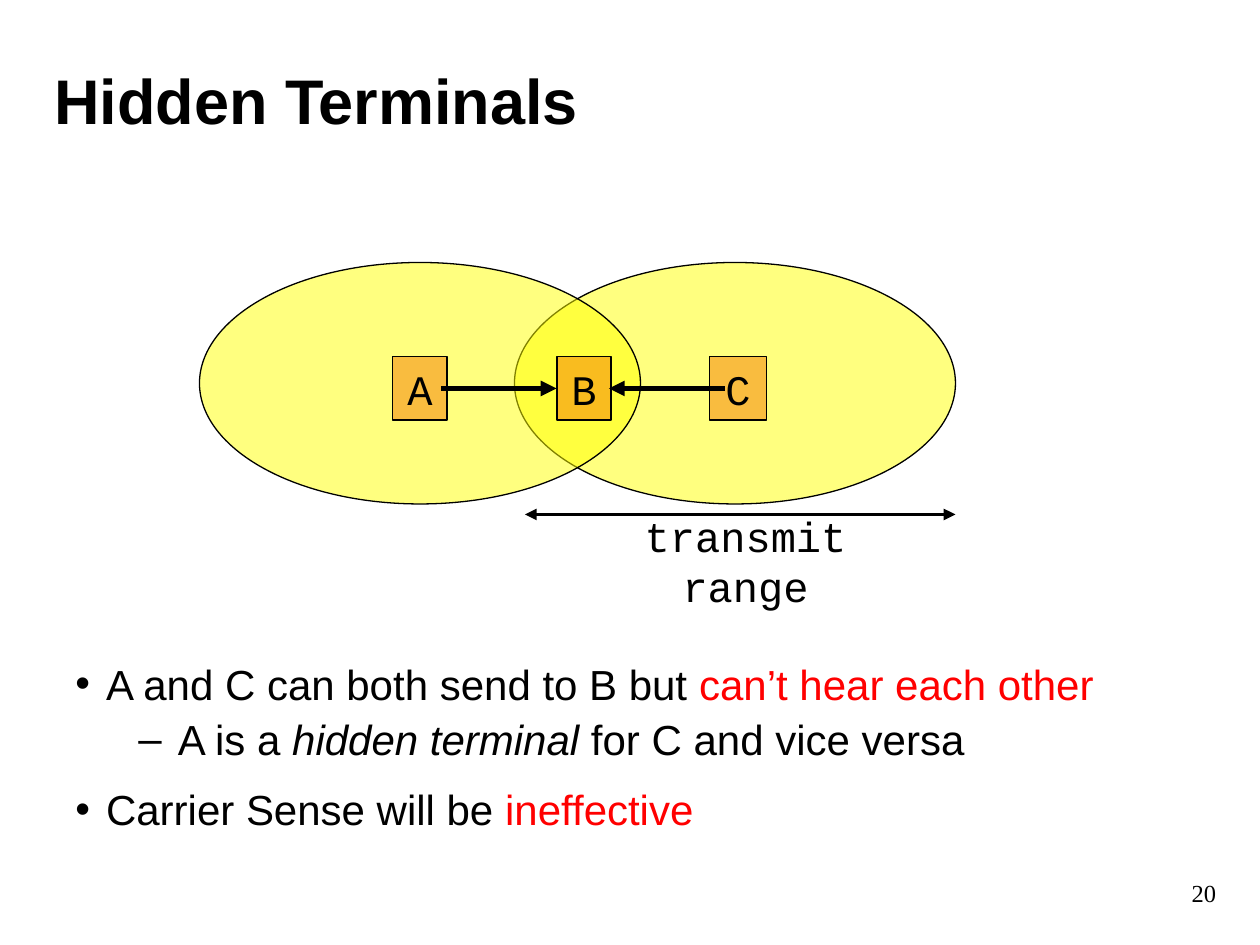
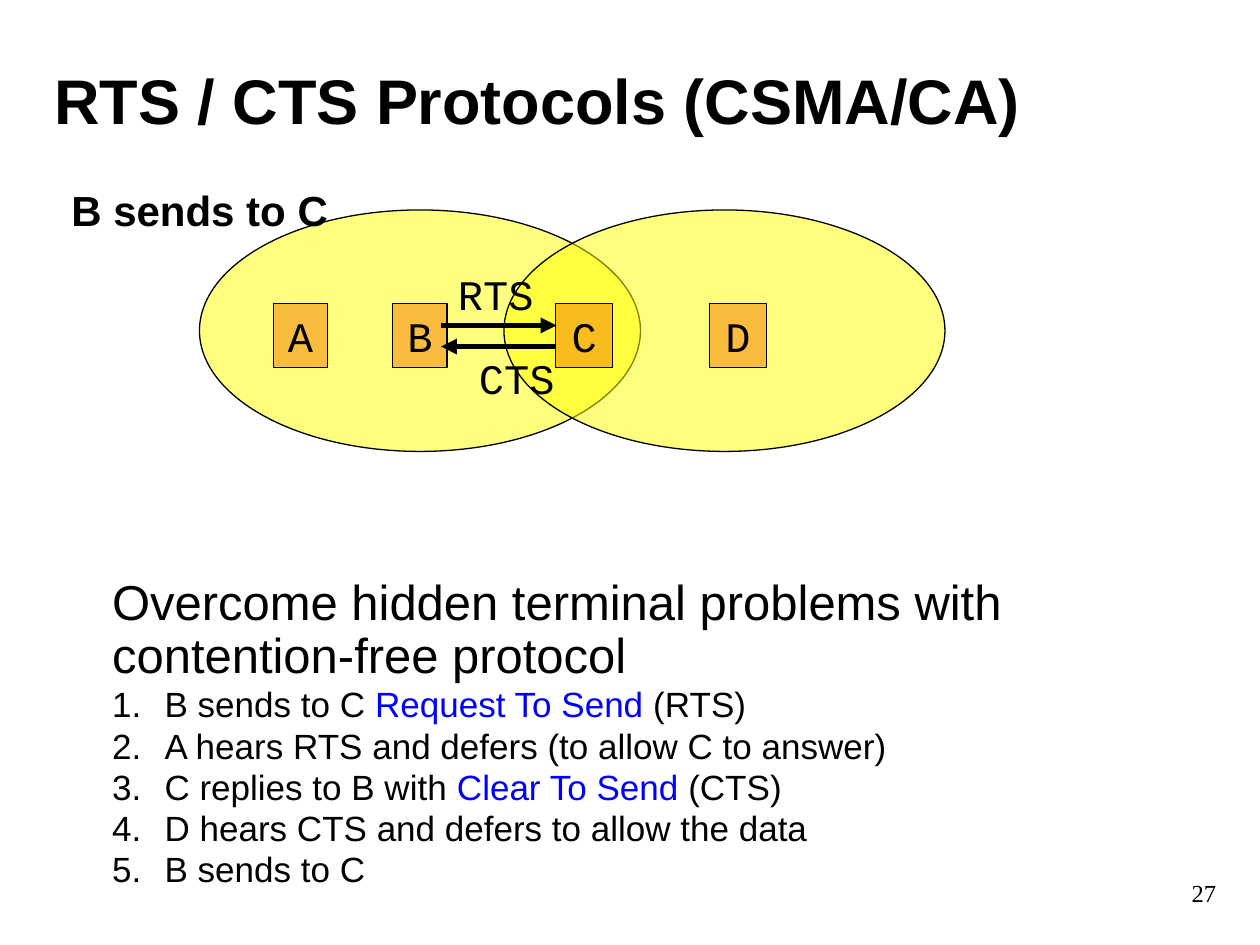
"""Builds two slides on hidden terminals and the RTS / CTS protocol."""
import pptx
import pptx.dml.color
import pptx.enum.shapes
import pptx.enum.text
import pptx.oxml.ns
import pptx.util
from lxml import etree

Pt = pptx.util.Pt
RGB = pptx.dml.color.RGBColor
ALIGN = pptx.enum.text.PP_ALIGN
ANCHOR = pptx.enum.text.MSO_ANCHOR
SHAPE = pptx.enum.shapes.MSO_SHAPE
qn = pptx.oxml.ns.qn

BLACK = RGB(0x00, 0x00, 0x00)
RED = RGB(0xFF, 0x00, 0x00)
BLUE = RGB(0x00, 0x00, 0xFF)
YELLOW = RGB(0xFF, 0xFF, 0x00)
ORANGE = RGB(0xF4, 0x7A, 0x00)
SANS, MONO, SERIF = "Arial", "Courier New", "Times New Roman"

RANGE_WIDTH, RANGE_HEIGHT = 252, 138
STATION_DROP, STATION_HEIGHT = 53.6, 36.5
STATION_WIDTHS = {"A": 31, "B": 31, "C": 32.5, "D": 32.5}

LEVELS = {
    "point": dict(size=24, left=17.5, hang=17.5, before=11.2, spacing=1, bullet="•"),
    "subpoint": dict(size=24, left=58.5, hang=22.5, before=3, spacing=1, bullet="–"),
    "lead": dict(size=28, left=36, hang=0, before=0, spacing=0.9, bullet=None),
    "step": dict(size=20, left=66, hang=30, before=1.9, spacing=0.9, bullet="1."),
}

SLIDES = [
    {
        "title": "Hidden Terminals",
        "number": "20",
        "ranges_top": 150,
        "ranges_left": [294, 114],
        "stations": {"A": 240, "B": 333.75, "C": 421.75},
        "arrows": [(252, 318, 222, 3, False), (414, 348, 222, 3, False),
                   (300, 546, 294, 2.25, True)],
        "labels": [("transmit range", (342, 288, 168, 36), MONO, False, ALIGN.CENTER)],
        "body_box": (36, 372.6, 666, 120),
        "body": [
            ("point", [("A and C can both send to B but ", BLACK, False),
                       ("can’t hear each other", RED, False)]),
            ("subpoint", [("A is a ", BLACK, False), ("hidden terminal", BLACK, True),
                          (" for C and vice versa", BLACK, False)]),
            ("point", [("Carrier Sense will be ", BLACK, False),
                       ("ineffective", RED, False)]),
        ],
    },
    {
        "title": "RTS / CTS Protocols (CSMA/CA)",
        "number": "27",
        "ranges_top": 120,
        "ranges_left": [114, 288],
        "stations": {"A": 171.75, "B": 240, "C": 333.75, "D": 421.75},
        "arrows": [(252, 318, 186, 3, False), (318, 252, 198, 3, False)],
        "labels": [
            ("RTS", (252, 150, 62.5, 36), MONO, False, ALIGN.CENTER),
            ("CTS", (264, 198, 62.5, 36), MONO, False, ALIGN.CENTER),
            ("B sends to C", (33, 102, 161.5, 36), SANS, True, ALIGN.RIGHT),
        ],
        "body_box": (21, 327, 678, 190),
        "body": [
            ("lead", [("Overcome hidden terminal problems with contention-free protocol",
                       BLACK, False)]),
            ("step", [("B sends to C ", BLACK, False), ("Request To Send", BLUE, False),
                      (" (RTS)", BLACK, False)]),
            ("step", [("A hears RTS and defers (to allow C to answer)", BLACK, False)]),
            ("step", [("C replies to B with ", BLACK, False),
                      ("Clear To Send", BLUE, False), (" (CTS)", BLACK, False)]),
            ("step", [("D hears CTS and defers to allow the data", BLACK, False)]),
            ("step", [("B sends to C", BLACK, False)]),
        ],
    },
]


def style(font, name, size, color=BLACK, bold=False, italic=False):
    font.name, font.size, font.bold, font.italic = name, Pt(size), bold, italic
    font.color.rgb = color


def write(frame, text, name, size, align, bold=False):
    frame.text = text
    frame.paragraphs[0].alignment = align
    style(frame.paragraphs[0].runs[0].font, name, size, bold=bold)


def add_frame(slide, box):
    frame = slide.shapes.add_textbox(*map(Pt, box)).text_frame
    frame.word_wrap = True
    return frame


def add_translucent(slide, preset, box, color):
    shape = slide.shapes.add_shape(preset, *map(Pt, box))
    shape.shadow.inherit = False
    shape.fill.solid()
    shape.fill.fore_color.rgb = color
    tint = shape.fill._xPr.find(qn("a:solidFill"))[0]
    etree.SubElement(tint, qn("a:alpha"), val="50000")
    shape.line.color.rgb = BLACK
    shape.line.width = Pt(0.75)
    return shape


def add_station(slide, name, center, top):
    width = STATION_WIDTHS[name]
    box = (center - width / 2, top, width, STATION_HEIGHT)
    frame = add_translucent(slide, SHAPE.RECTANGLE, box, ORANGE).text_frame
    frame.word_wrap = False
    frame.margin_left = frame.margin_right = 0
    frame.vertical_anchor = ANCHOR.MIDDLE
    write(frame, name, MONO, 24, ALIGN.CENTER)


def add_arrow(slide, start, end, y, weight, both_ends):
    arrow = slide.shapes.add_connector(
        pptx.enum.shapes.MSO_CONNECTOR.STRAIGHT, Pt(start), Pt(y), Pt(end), Pt(y))
    arrow.line.color.rgb = BLACK
    arrow.line.width = Pt(weight)
    line = arrow.line._get_or_add_ln()
    for tip in ("a:headEnd", "a:tailEnd") if both_ends else ("a:tailEnd",):
        etree.SubElement(line, qn(tip), type="triangle")
    etree.SubElement(arrow._element.spPr, qn("a:effectLst"))


def add_body(slide, box, body):
    frame = add_frame(slide, box)
    for index, (level_name, runs) in enumerate(body):
        level = LEVELS[level_name]
        paragraph = frame.add_paragraph() if index else frame.paragraphs[0]
        paragraph.line_spacing = level["spacing"]
        paragraph.space_before = Pt(level["before"] if index else 0)
        properties = paragraph._p.get_or_add_pPr()
        properties.set("marL", str(int(Pt(level["left"]))))
        properties.set("indent", str(-int(Pt(level["hang"]))))
        if level["bullet"] == "1.":
            etree.SubElement(properties, qn("a:buAutoNum"), type="arabicPeriod")
        elif level["bullet"]:
            etree.SubElement(properties, qn("a:buFont"), typeface=SANS)
            etree.SubElement(properties, qn("a:buChar"), char=level["bullet"])
        for text, color, italic in runs:
            run = paragraph.add_run()
            run.text = text
            style(run.font, SANS, level["size"], color, italic=italic)


def build_slide(deck, content):
    slide = deck.slides.add_slide(deck.slide_layouts[6])
    write(add_frame(slide, (630, 498, 72, 30)), content["number"], SERIF, 14, ALIGN.RIGHT)
    title = add_frame(slide, (24, 30, 635, 54))
    title.vertical_anchor = ANCHOR.MIDDLE
    write(title, content["title"], SANS, 36, ALIGN.LEFT, bold=True)
    add_body(slide, content["body_box"], content["body"])
    top = content["ranges_top"]
    for left in content["ranges_left"]:
        add_translucent(slide, SHAPE.OVAL, (left, top, RANGE_WIDTH, RANGE_HEIGHT), YELLOW)
    for name, center in content["stations"].items():
        add_station(slide, name, center, top + STATION_DROP)
    for arrow in content["arrows"]:
        add_arrow(slide, *arrow)
    for text, box, font, bold, align in content["labels"]:
        write(add_frame(slide, box), text, font, 24, align, bold)


def main():
    deck = pptx.Presentation()
    deck.slide_width, deck.slide_height = Pt(720), Pt(540)
    for content in SLIDES:
        build_slide(deck, content)
    deck.save("out.pptx")


if __name__ == "__main__":
    main()
